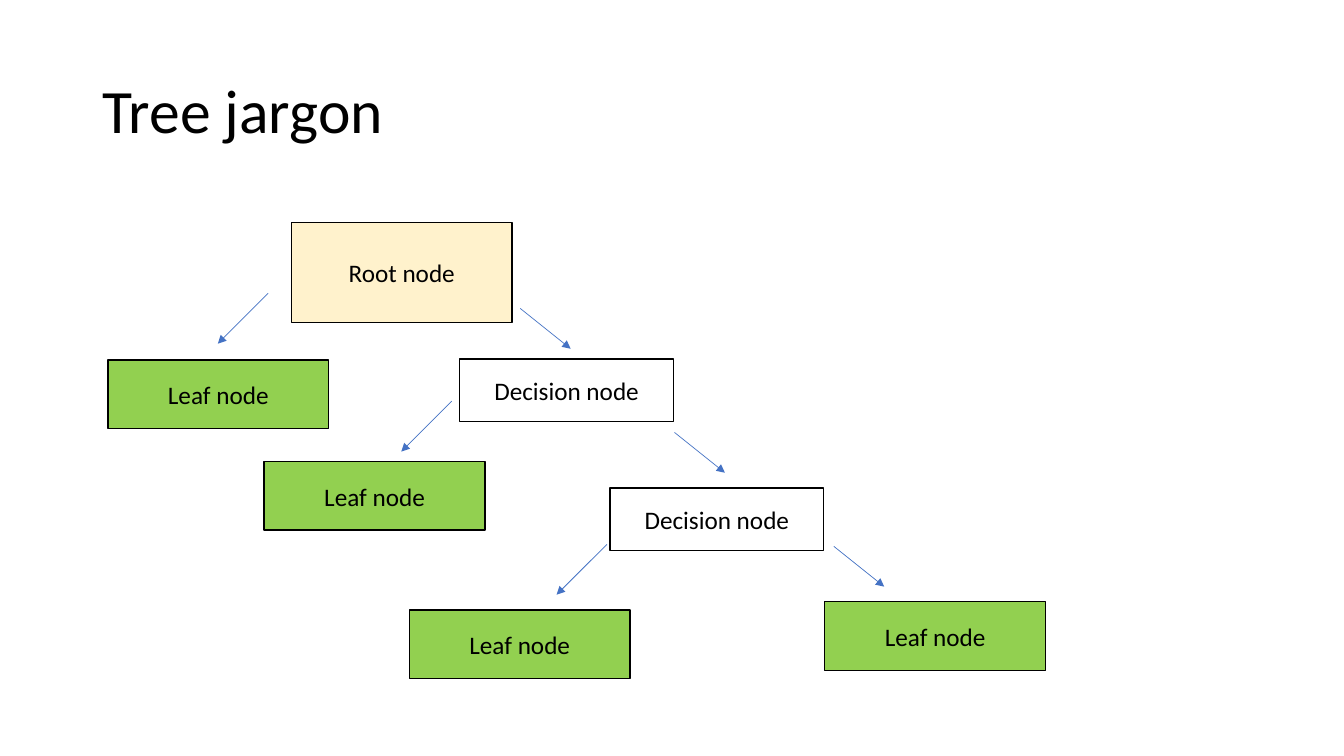
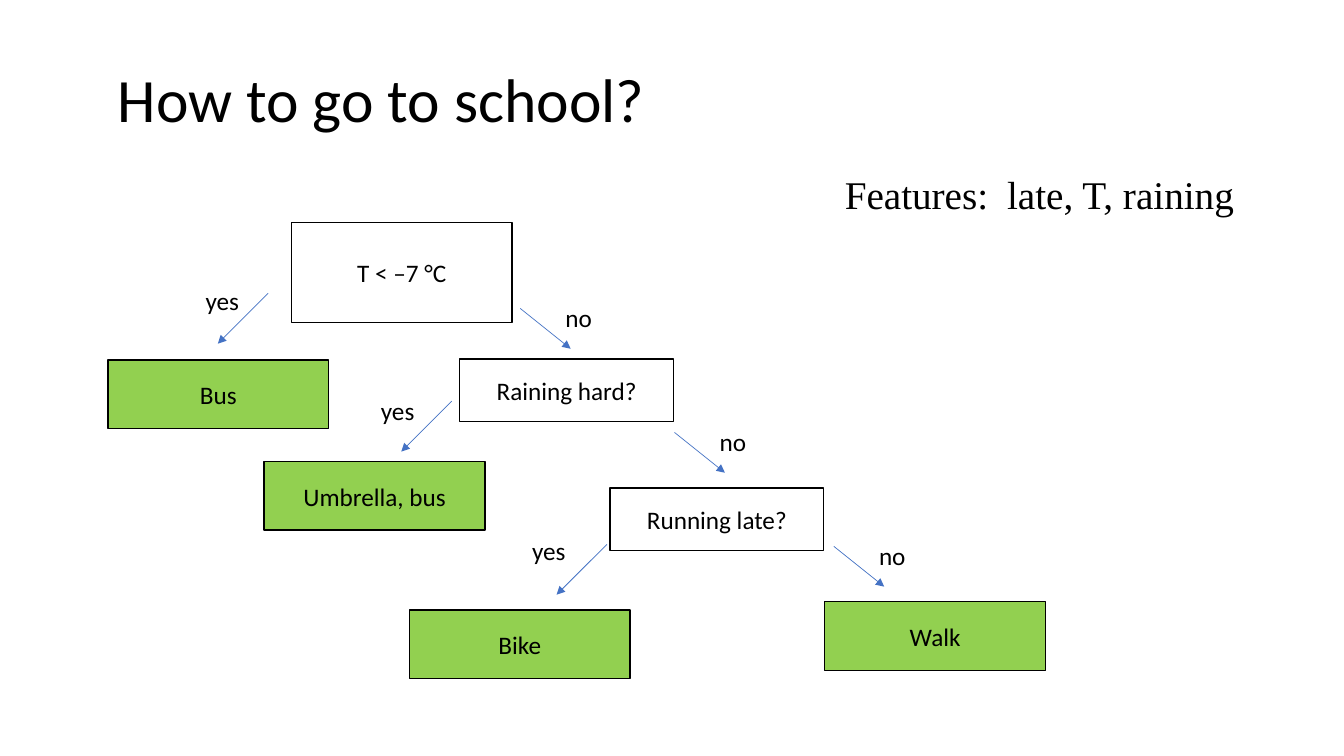
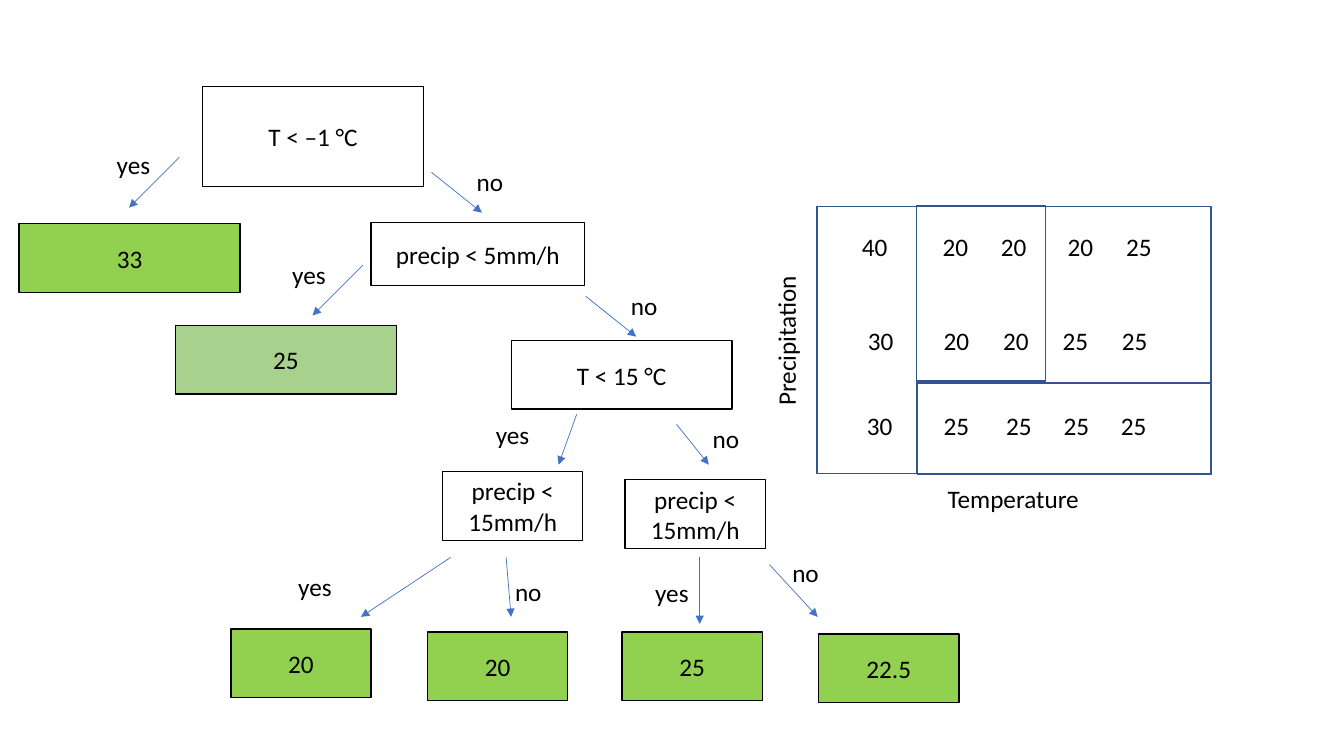
from dataclasses import dataclass

from lxml.etree import SubElement
from pptx import Presentation
from pptx.dml.color import RGBColor
from pptx.enum.shapes import MSO_CONNECTOR, MSO_SHAPE
from pptx.enum.text import MSO_ANCHOR, MSO_AUTO_SIZE, PP_ALIGN
from pptx.oxml.ns import qn
from pptx.util import Inches, Pt

COLORS = {
    "ink": "000000",
    "root": "FFF2CC",
    "leaf": "92D050",
    "pale": "A9D18E",
    "arrow": "4472C4",
    "region": "325491",
}
NODE_STYLES = {
    "root": (21.9, 9.9, "root"),
    "question": (21.9, 9.9, None),
    "decision": (21.2, 6.2, None),
    "wide decision": (21.9, 6.8, None),
    "small decision": (13.9, 6.8, None),
    "leaf": (21.9, 6.8, "leaf"),
    "pale leaf": (21.9, 6.8, "pale"),
    "small leaf": (13.9, 6.8, "leaf"),
}
ANSWER_WIDTHS = {"yes": 5.4, "no": 4.7}
YES_STEP, NO_STEP, NO_LABEL = (-5, 5), (5, 4), (3.5, -1.1)


@dataclass
class Split:
    node: tuple
    leaf: tuple
    yes_start: tuple
    yes_label: tuple
    no_start: tuple


SPLITS = [
    Split((28.9, 22.1), (10.7, 35.7), (26.6, 29.1), (19.4, 27.8), (51.6, 30.6)),
    Split((45.6, 35.6), (26.2, 45.8), (44.8, 39.8), (36.8, 38.7), (66.9, 42.9)),
    Split((60.5, 48.4), (40.6, 60.5), (60.2, 54), (51.8, 52.6), (82.7, 54.2)),
]
LAST_LEAF = (81.8, 59.7)


def write(frame, text, font="Calibri", size=18, align=PP_ALIGN.LEFT,
          anchor=MSO_ANCHOR.TOP, wrap=True, spacing=1.0, tab=None):
    frame.word_wrap = wrap
    frame.vertical_anchor = anchor
    frame.auto_size = MSO_AUTO_SIZE.NONE if wrap else MSO_AUTO_SIZE.SHAPE_TO_FIT_TEXT
    paragraph = frame.paragraphs[0]
    paragraph.alignment = align
    paragraph.line_spacing = spacing
    if tab:
        stops = SubElement(paragraph._p.get_or_add_pPr(), qn("a:tabLst"))
        SubElement(stops, qn("a:tab"), pos=str(tab), algn="l")
    run = paragraph.add_run()
    run.text = text
    run.font.name = font
    run.font.size = Pt(size)
    run.font.color.rgb = RGBColor.from_string(COLORS["ink"])


def shifted(point, step):
    return point[0] + step[0], point[1] + step[1]


class Deck:
    cell = Inches(0.1)
    columns, rows = 133.3, 75

    def __init__(self):
        self.presentation = Presentation()
        self.presentation.slide_width, self.presentation.slide_height = self.units(
            self.columns, self.rows)

    def units(self, *cells):
        return [round(count * self.cell) for count in cells]

    def new_slide(self):
        blank = self.presentation.slide_layouts[6]
        self.shapes = self.presentation.slides.add_slide(blank).shapes

    def text(self, words, x, y, width, height=4, rotation=0, **style):
        box = self.shapes.add_textbox(*self.units(x, y, width, height))
        box.rotation = rotation
        write(box.text_frame, words, **style)

    def title(self, words, x, y):
        self.text(words, x, y, 115, 14.5, size=44, spacing=0.9,
                  anchor=MSO_ANCHOR.MIDDLE)

    def label(self, words, x, y, width, **style):
        self.text(words, x, y, width, wrap=False, **style)

    def answer(self, word, position):
        self.label(word, *position, ANSWER_WIDTHS[word])

    def rectangle(self, x, y, width, height, fill=None, line="ink"):
        outline = self.shapes.add_shape(
            MSO_SHAPE.RECTANGLE, *self.units(x, y, width, height))
        outline.shadow.inherit = False
        if fill:
            outline.fill.solid()
            outline.fill.fore_color.rgb = RGBColor.from_string(COLORS[fill])
        else:
            outline.fill.background()
        outline.line.color.rgb = RGBColor.from_string(COLORS[line])
        outline.line.width = Pt(1)
        return outline

    def node(self, words, position, style):
        width, height, fill = NODE_STYLES[style]
        box = self.rectangle(*position, width, height, fill)
        write(box.text_frame, words, align=PP_ALIGN.CENTER, anchor=MSO_ANCHOR.MIDDLE)

    def arrow(self, start, end):
        branch = self.shapes.add_connector(
            MSO_CONNECTOR.STRAIGHT, *self.units(*start, *end))
        branch.line.color.rgb = RGBColor.from_string(COLORS["arrow"])
        branch.line.width = Pt(0.5)
        properties = branch.element.spPr
        SubElement(properties.find(qn("a:ln")), qn("a:tailEnd"), type="triangle")
        SubElement(properties, qn("a:effectLst"))

    def tree(self, levels, shift=(0, 0), answers=True):
        for split, (question, style, outcome, leaf_style) in zip(SPLITS, levels):
            self.node(question, shifted(split.node, shift), style)
            self.node(outcome, shifted(split.leaf, shift), leaf_style)
            yes_start = shifted(split.yes_start, shift)
            no_start = shifted(split.no_start, shift)
            self.arrow(yes_start, shifted(yes_start, YES_STEP))
            self.arrow(no_start, shifted(no_start, NO_STEP))
            if answers:
                self.answer("yes", shifted(split.yes_label, shift))
                self.answer("no", shifted(no_start, NO_LABEL))


def jargon_slide(deck):
    deck.new_slide()
    deck.title("Tree jargon", 9.2, 4)
    decision = ("Decision node", "decision", "Leaf node", "leaf")
    deck.tree([("Root node", "root", "Leaf node", "leaf"), decision, decision],
              answers=False)
    deck.node("Leaf node", LAST_LEAF, "leaf")


def school_slide(deck):
    deck.new_slide()
    deck.title("How to go to school?", 10.7, 2.9)
    deck.tree([
        ("T < –7 °C", "question", "Bus", "leaf"),
        ("Raining hard?", "decision", "Umbrella, bus", "leaf"),
        ("Running late?", "decision", "Bike", "leaf"),
    ])
    deck.node("Walk", LAST_LEAF, "leaf")
    deck.text("Features:\tlate, T, raining", 82.8, 16.9, 46.8, 10.9,
              font="Times New Roman", size=28, spacing=0.9, tab=Inches(1.61))


def rainfall_slide(deck):
    deck.new_slide()
    deck.tree([
        ("T < –1 °C", "question", "33", "leaf"),
        ("precip < 5mm/h", "decision", "25", "pale leaf"),
    ], shift=(-8.8, -13.5))

    for words, position, style in [
        ("T < 15 °C", (50.7, 33.8), "wide decision"),
        ("precip < 15mm/h", (43.9, 46.8), "small decision"),
        ("precip < 15mm/h", (62, 47.6), "small decision"),
        ("20", (22.9, 62.4), "small leaf"),
        ("20", (42.4, 62.7), "small leaf"),
        ("25", (61.7, 62.7), "small leaf"),
        ("22.5", (81.2, 62.9), "small leaf"),
    ]:
        deck.node(words, position, style)

    for word, position, start, end in [
        ("yes", (48.2, 41.1), (57.2, 41.1), (55.4, 46.1)),
        ("no", (69.7, 41.5), (67.1, 42.1), (70.3, 46.1)),
        ("yes", (28.6, 56.2), (44.7, 55.3), (35.8, 61.2)),
        ("no", (50.1, 56.7), (50.2, 55.3), (50.7, 61.2)),
        ("yes", (64, 56.8), (69.4, 55.3), (69.4, 61.9)),
        ("no", (77.6, 54.8), (76.3, 56), (81.1, 61.2)),
    ]:
        deck.arrow(start, end)
        deck.answer(word, position)

    for region in [
        (81.1, 20.5, 39, 26.5),
        (81, 20.5, 9.9, 26.5),
        (91, 38, 29.1, 9.1),
        (90.9, 20.4, 12.8, 17.4),
    ]:
        deck.rectangle(*region, line="region")
    for y, lefts, values in [
        (22.5, (84.5, 92.5, 98.3, 104.9, 110.7), (40, 20, 20, 20, 25)),
        (31.8, (85.1, 92.6, 98.5, 104.4, 110.3), (30, 20, 20, 25, 25)),
        (40.2, (85, 92.6, 98.8, 104.5, 110.2), (30, 25, 25, 25, 25)),
    ]:
        for x, value in zip(lefts, values):
            deck.label(str(value), x, y, 4.6)
    deck.label("Temperature", 93, 47.5, 15.2)
    deck.label("Precipitation", 70.4, 31.7, 15.1, rotation=270)


def main():
    deck = Deck()
    jargon_slide(deck)
    school_slide(deck)
    rainfall_slide(deck)
    deck.presentation.save("out.pptx")


if __name__ == "__main__":
    main()
